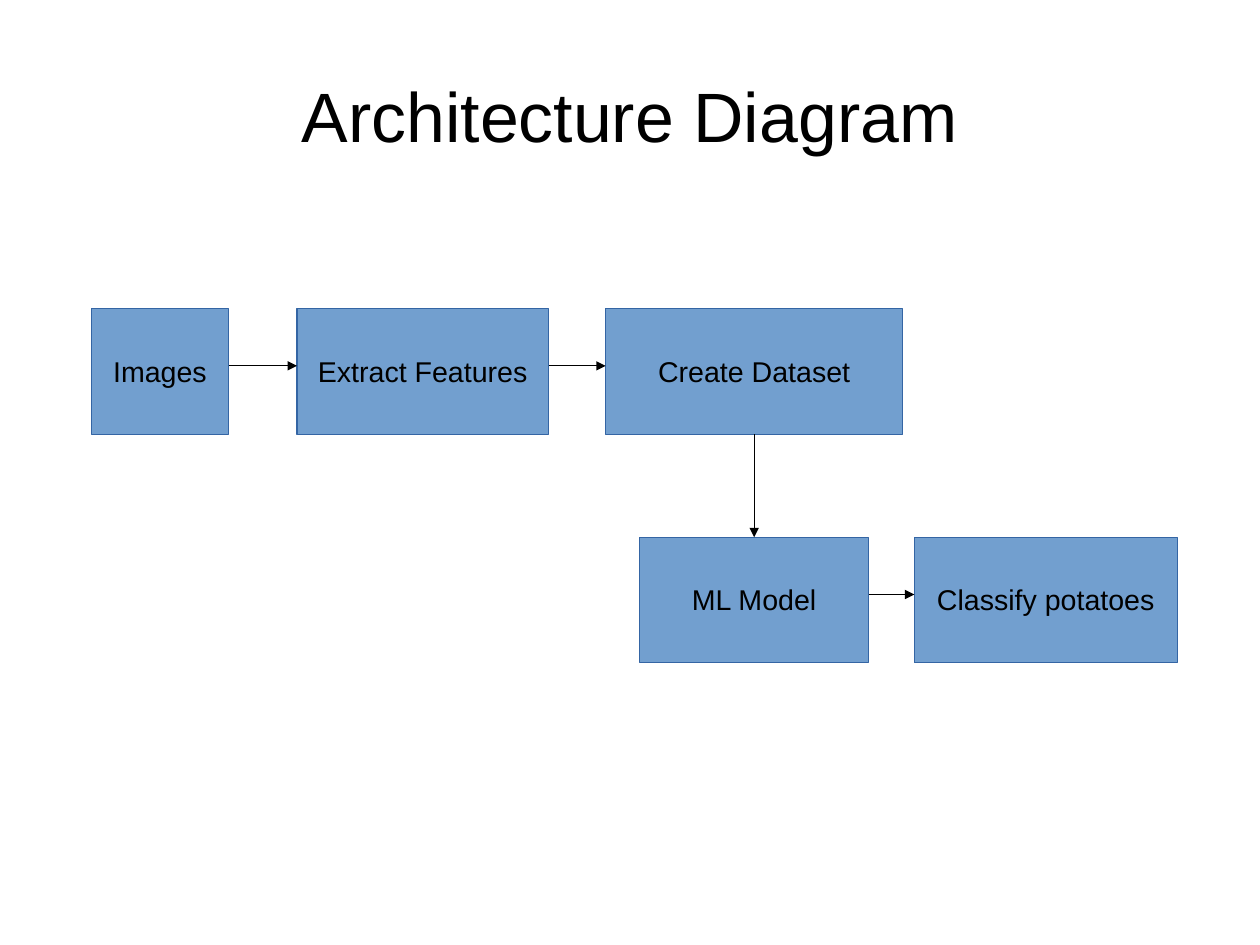
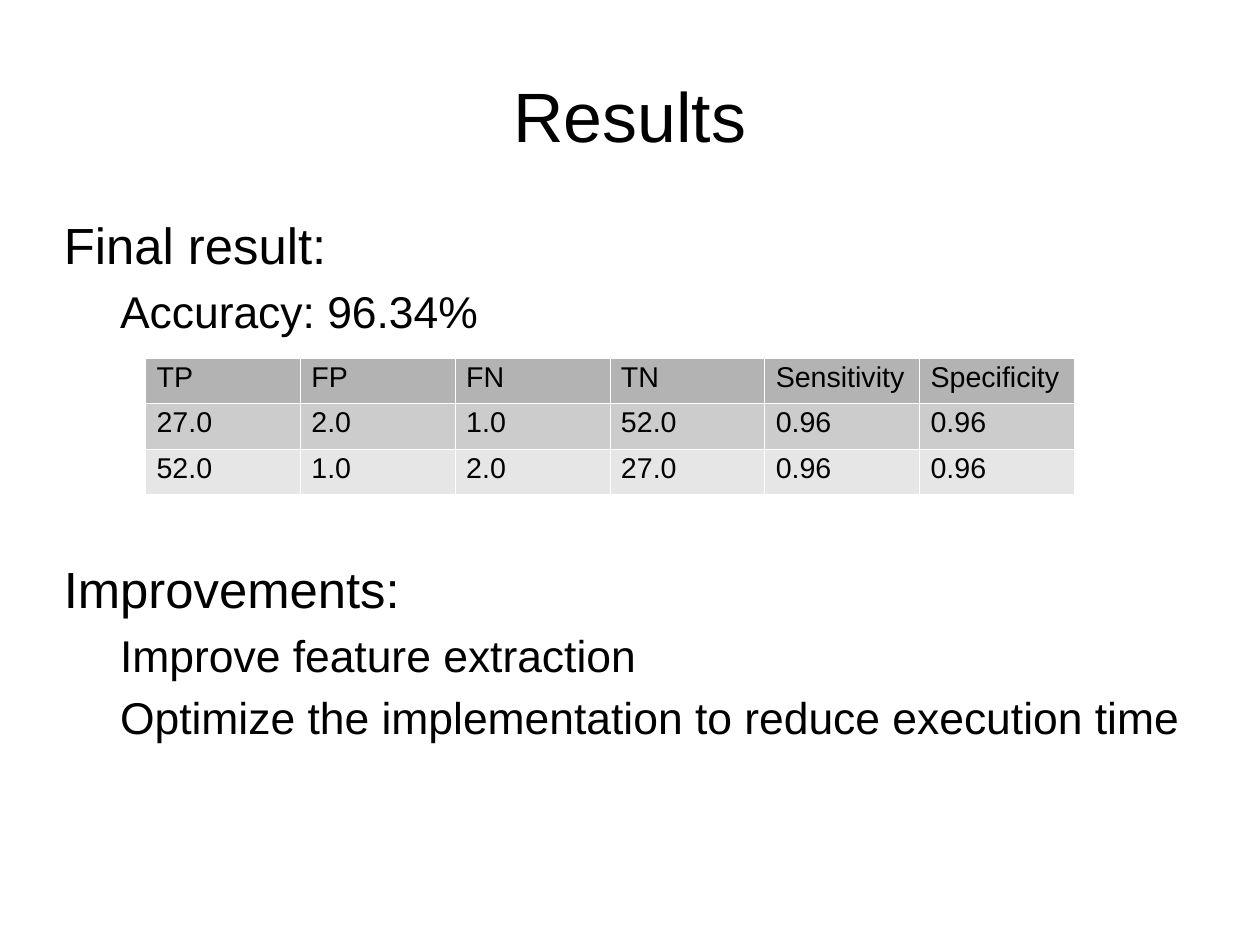
from lxml import etree
from pptx import Presentation
from pptx.dml.color import RGBColor
from pptx.enum import shapes, text
from pptx.oxml import ns
from pptx.util import Cm, Pt

# Shared style
FONT = "Arial"
BLACK = RGBColor(0x00, 0x00, 0x00)
WHITE = RGBColor(0xFF, 0xFF, 0xFF)
BLUE = RGBColor(0x72, 0x9F, 0xCF)
DARK_BLUE = RGBColor(0x34, 0x65, 0xA4)
ROW_GREYS = (RGBColor(0xB3, 0xB3, 0xB3), RGBColor(0xCC, 0xCC, 0xCC),
             RGBColor(0xE6, 0xE6, 0xE6))
LINE_WIDTH = Pt(0.75)
MARGIN, CONTENT_WIDTH = 1.4, 25.2

# Flow diagram, in cm
STEP_HEIGHT = 2.79
ARROW_DROP = 1.27
UPPER_ROW, LOWER_ROW = 6.86, 11.94
UPPER_STEPS = (("Images", 2.03, 3.05), ("Extract Features", 6.6, 5.59),
               ("Create Dataset", 13.46, 6.6))
LOWER_STEPS = (("ML Model", 14.22, 5.08), ("Classify potatoes", 20.32, 5.84))

# Results
FINAL_RESULT = ("Final result:", "Accuracy: 96.34%")
IMPROVEMENTS = ("Improvements:", "Improve feature extraction",
                "Optimize the implementation to reduce execution time")
SCORES = (("TP", "FP", "FN", "TN", "Sensitivity", "Specificity"),
          ("27.0", "2.0", "1.0", "52.0", "0.96", "0.96"),
          ("52.0", "1.0", "2.0", "27.0", "0.96", "0.96"))


def format_para(para, size, spacing=0.93, align=None):
    para.alignment = align
    para.line_spacing = spacing
    for span in para.runs:
        span.font.name = FONT
        span.font.size = Pt(size)
        span.font.color.rgb = BLACK


def set_insets(frame, left, top, right, bottom):
    frame.margin_left, frame.margin_top = Cm(left), Cm(top)
    frame.margin_right, frame.margin_bottom = Cm(right), Cm(bottom)


def add_page(deck, heading):
    page = deck.slides.add_slide(deck.slide_layouts[5])
    page.background.fill.solid()
    page.background.fill.fore_color.rgb = WHITE
    title = page.shapes.title
    title.left, title.top = Cm(MARGIN), Cm(0.84)
    title.width, title.height = Cm(CONTENT_WIDTH), Cm(3.5)
    frame = title.text_frame
    frame.text = heading
    frame.auto_size = text.MSO_AUTO_SIZE.NONE
    frame.vertical_anchor = text.MSO_ANCHOR.MIDDLE
    set_insets(frame, 0, 0.1, 0, 0)
    format_para(frame.paragraphs[0], 44, align=text.PP_ALIGN.CENTER)
    return page


def add_step(page, label, left, top, width):
    box = page.shapes.add_shape(shapes.MSO_SHAPE.FLOWCHART_PROCESS, Cm(left),
                                Cm(top), Cm(width), Cm(STEP_HEIGHT))
    box.shadow.inherit = False
    box.fill.solid()
    box.fill.fore_color.rgb = BLUE
    box.line.color.rgb = DARK_BLUE
    box.line.width = LINE_WIDTH
    frame = box.text_frame
    frame.text = label
    frame.word_wrap = False
    frame.vertical_anchor = text.MSO_ANCHOR.MIDDLE
    set_insets(frame, 0.25, 0.18, 0.25, 0.13)
    format_para(frame.paragraphs[0], 18, align=text.PP_ALIGN.CENTER)


def add_arrow(page, x1, y1, x2, y2):
    arrow = page.shapes.add_connector(shapes.MSO_CONNECTOR.STRAIGHT,
                                      Cm(x1), Cm(y1), Cm(x2), Cm(y2))
    arrow.line.color.rgb = BLACK
    arrow.line.width = LINE_WIDTH
    outline = arrow.line._get_or_add_ln()
    etree.SubElement(outline, ns.qn("a:tailEnd"), type="triangle")
    etree.SubElement(arrow._element.spPr, ns.qn("a:effectLst"))


def add_step_row(page, steps, top):
    for label, left, width in steps:
        add_step(page, label, left, top, width)
    arrow_y = top + ARROW_DROP
    for (_, left, width), (_, next_left, _) in zip(steps, steps[1:]):
        add_arrow(page, left + width, arrow_y, next_left, arrow_y)


def add_outline(page, lines, top, height):
    """Add a heading followed by indented points."""
    box = page.shapes.add_textbox(Cm(MARGIN), Cm(top), Cm(CONTENT_WIDTH),
                                  Cm(height))
    frame = box.text_frame
    frame.word_wrap = True
    set_insets(frame, 0.02, 0.08, 0, 0)
    frame.text = "\n".join(lines)
    heading, *points = frame.paragraphs
    format_para(heading, 32, 0.83)
    for para in points:
        para._p.get_or_add_pPr().set("marL", str(Cm(1.25)))
        para.space_before = Pt(11.4)
        format_para(para, 28, 0.83)


def set_borders(cell, color, width):
    props = cell._tc.get_or_add_tcPr()
    for index, side in enumerate(("lnL", "lnR", "lnT", "lnB")):
        line = etree.Element(ns.qn(f"a:{side}"), w=str(width))
        fill = etree.SubElement(line, ns.qn("a:solidFill"))
        etree.SubElement(fill, ns.qn("a:srgbClr"), val=str(color))
        props.insert(index, line)


def add_score_table(page, rows, left, top, column_width, row_height):
    columns = len(rows[0])
    table = page.shapes.add_table(
        len(rows), columns, Cm(left), Cm(top), Cm(column_width * columns),
        Cm(row_height * len(rows))).table
    table.first_row = table.horz_banding = False
    for row, values, grey in zip(table.rows, rows, ROW_GREYS):
        row.height = Cm(row_height)
        for cell, value in zip(row.cells, values):
            cell.text = value
            set_insets(cell, 0.25, 0.13, 0.25, 0.13)
            format_para(cell.text_frame.paragraphs[0], 18)
            cell.fill.solid()
            cell.fill.fore_color.rgb = grey
            set_borders(cell, WHITE, Pt(0.06))


def build_architecture(deck):
    page = add_page(deck, "Architecture Diagram")
    add_step_row(page, UPPER_STEPS, UPPER_ROW)
    add_step_row(page, LOWER_STEPS, LOWER_ROW)
    # Link from the upper row down to the lower row
    _, left, width = UPPER_STEPS[-1]
    center = left + width / 2
    add_arrow(page, center, UPPER_ROW + STEP_HEIGHT, center, LOWER_ROW)


def build_results(deck):
    page = add_page(deck, "Results")
    add_outline(page, FINAL_RESULT, 4.9, 2.8)
    add_outline(page, IMPROVEMENTS, 12.55, 4.4)
    add_score_table(page, SCORES, 3.23, 7.95, 3.44, 1.01)


def main():
    deck = Presentation()
    deck.slide_width, deck.slide_height = Cm(28), Cm(21)
    build_architecture(deck)
    build_results(deck)
    deck.save("out.pptx")


if __name__ == "__main__":
    main()
